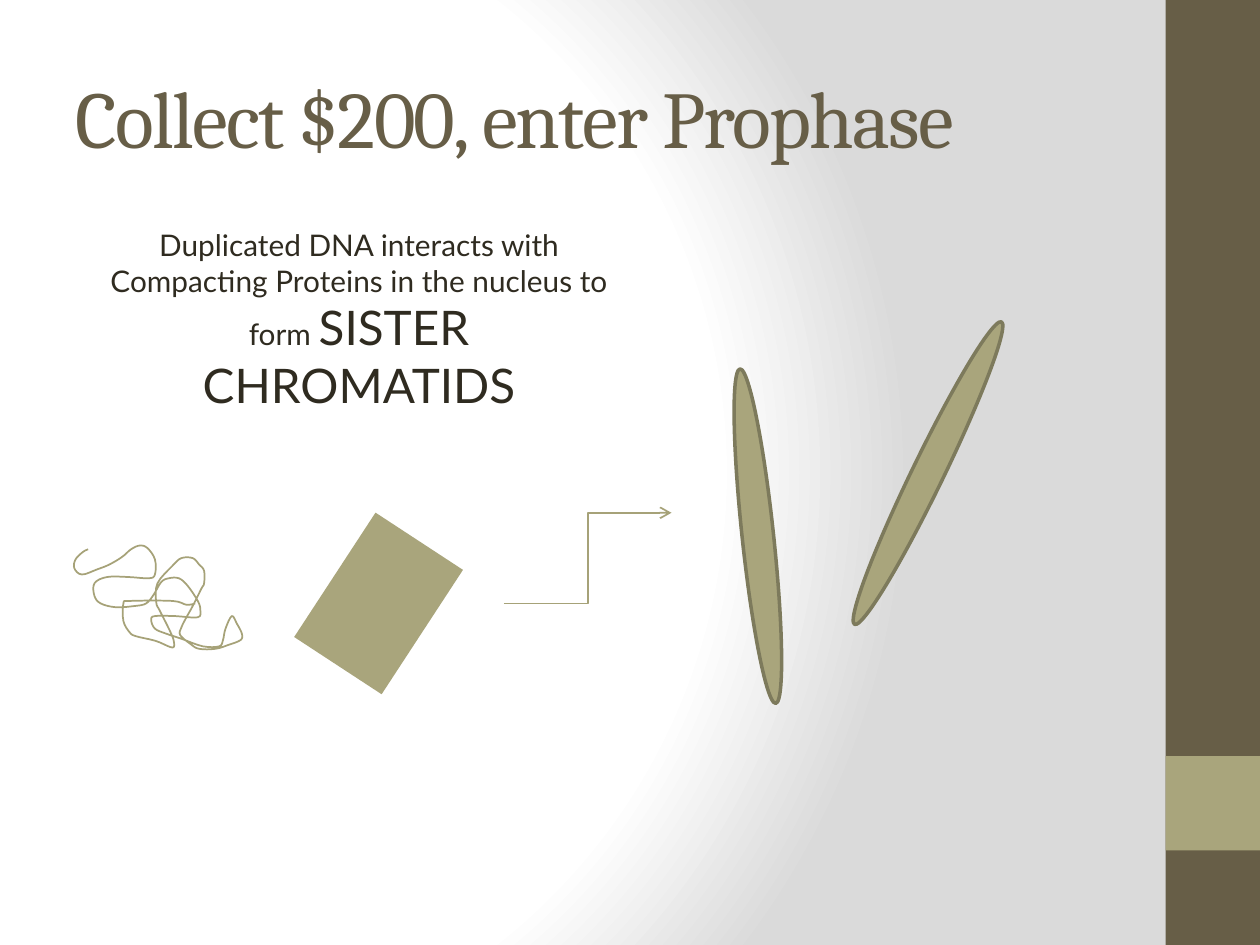
from itertools import chain
from lxml.etree import SubElement, fromstring
from pptx import Presentation
from pptx.dml.color import RGBColor
from pptx.enum.shapes import MSO_CONNECTOR, MSO_SHAPE
from pptx.enum.text import MSO_ANCHOR, MSO_AUTO_SIZE, PP_ALIGN
from pptx.oxml.ns import nsdecls, qn
from pptx.util import Inches, Pt

DNA_STRAND = [
    (0.70, 4.36), (0.66, 4.38), (0.60, 4.44), (0.59, 4.51), (0.65, 4.56), (0.77, 4.52),
    (0.87, 4.48), (0.97, 4.42), (1.04, 4.36), (1.11, 4.33), (1.17, 4.35), (1.23, 4.44),
    (1.23, 4.56), (1.18, 4.59), (1.02, 4.58), (0.85, 4.58), (0.75, 4.63), (0.75, 4.73),
    (0.80, 4.79), (0.92, 4.82), (1.07, 4.81), (1.16, 4.79), (1.22, 4.72), (1.28, 4.62),
    (1.34, 4.59), (1.42, 4.59), (1.49, 4.65), (1.57, 4.77), (1.59, 4.84), (1.57, 4.90),
    (1.39, 4.89), (1.23, 4.89), (1.20, 4.92), (1.23, 4.99), (1.32, 5.03), (1.44, 5.07),
    (1.61, 5.13), (1.74, 5.13), (1.77, 5.08), (1.79, 4.99), (1.84, 4.89), (1.88, 4.95),
    (1.92, 5.03), (1.91, 5.08), (1.81, 5.12), (1.71, 5.15), (1.58, 5.15), (1.51, 5.11),
    (1.43, 5.04), (1.44, 4.98), (1.48, 4.90), (1.53, 4.81), (1.60, 4.67), (1.62, 4.63),
    (1.62, 4.53), (1.58, 4.48), (1.53, 4.43), (1.44, 4.43), (1.37, 4.49), (1.25, 4.63),
    (1.24, 4.78), (1.27, 4.85), (1.35, 5.01), (1.38, 5.09), (1.37, 5.14), (1.27, 5.10),
    (1.21, 5.08), (1.08, 5.05), (1.03, 5.02), (0.98, 4.93), (0.98, 4.79), (1.03, 4.77),
    (1.37, 4.77), (1.48, 4.80), (1.55, 4.79),
]


def color(value):
    """Return the colour for a hex string."""
    return RGBColor.from_string(value)


def curve_through(points, steps=4):
    """Return points of a Catmull-Rom curve through the given points."""
    padded = [points[0], *points, points[-1]]

    def blend(a, b, c, d, t):
        return b + t / 2 * (c - a + t * (2 * a - 5 * b + 4 * c - d + t * (3 * (b - c) + d - a)))

    spans = zip(padded, padded[1:], padded[2:], padded[3:])
    return [points[0]] + list(chain.from_iterable(
        [tuple(blend(*axis, step / steps) for axis in zip(*span)) for step in range(1, steps + 1)]
        for span in spans))


class SlideBuilder:
    """Holds the style and the current slide."""

    dark, olive, strand, edge, ink = "675E47", "A9A57C", "A6A278", "7D7A5C", "2F2B20"
    heading_font, body_font = "Cambria", "Lato"

    def __init__(self, slide):
        """Keep the slide to draw on."""
        self.slide = slide

    def background(self):
        """Fill the background with a radial gradient."""
        stops = "".join(
            f'<a:gs pos="{position}000"><a:srgbClr val="{value}"/></a:gs>'
            for position, value in [(0, "FFFFFF"), (75, "FFFFFF"), (100, "DADADA")])
        self.slide.element.cSld.insert(0, fromstring(
            f'<p:bg {nsdecls("p", "a")}><p:bgPr><a:gradFill rotWithShape="1"><a:gsLst>{stops}</a:gsLst>'
            '<a:path path="circle"><a:fillToRect l="20000" t="50000" r="100000" b="50000"/></a:path>'
            '</a:gradFill><a:effectLst/></p:bgPr></p:bg>'))

    def place(self, placeholder, left, top, width, height, anchor):
        """Move a placeholder and return its text frame."""
        placeholder.left, placeholder.top = Inches(left), Inches(top)
        placeholder.width, placeholder.height = Inches(width), Inches(height)
        frame = placeholder.text_frame
        frame.auto_size = MSO_AUTO_SIZE.NONE
        frame.word_wrap = True
        frame.vertical_anchor = anchor
        return frame

    def style(self, run, size, font, value):
        """Set the font of a run."""
        run.font.size, run.font.name = Pt(size), font
        run.font.color.rgb = color(value)

    def title(self, text):
        """Fill the title placeholder."""
        frame = self.place(self.slide.shapes.title, 0.5, 0.3, 8.33, 1.25, MSO_ANCHOR.MIDDLE)
        frame.text = text
        paragraph = frame.paragraphs[0]
        paragraph.alignment = PP_ALIGN.LEFT
        run = paragraph.runs[0]
        self.style(run, 46, self.heading_font, self.dark)
        run.font._element.set("spc", "-100")

    def body(self, pieces):
        """Fill the body placeholder with one centred paragraph of sized pieces."""
        frame = self.place(self.slide.placeholders[1], 0.5, 1.75, 4.58, 1.17, MSO_ANCHOR.TOP)
        paragraph = frame.paragraphs[0]
        properties = paragraph._p.get_or_add_pPr()
        properties.set("marL", str(Inches(0.12)))
        properties.set("indent", "0")
        SubElement(properties, qn("a:buNone"))
        paragraph.alignment = PP_ALIGN.CENTER
        paragraph.space_before = Pt(0)
        for text, size in pieces:
            run = paragraph.add_run()
            run.text = text
            self.style(run, size, self.body_font, self.ink)

    def shape(self, kind, left, top, width, height, fill, line=None, rotation=0):
        """Add a preset shape."""
        shape = self.slide.shapes.add_shape(
            kind, Inches(left), Inches(top), Inches(width), Inches(height))
        shape.shadow.inherit = False
        shape.rotation = rotation
        shape.fill.solid()
        shape.fill.fore_color.rgb = color(fill)
        if line:
            shape.line.color.rgb = color(line)
            shape.line.width = Pt(2)
        else:
            shape.line.fill.background()

    def thread(self, points):
        """Add an open curved line through the points."""
        first, *rest = [(Inches(x), Inches(y)) for x, y in curve_through(points)]
        builder = self.slide.shapes.build_freeform(*first)
        builder.add_line_segments(rest, close=False)
        shape = builder.convert_to_shape()
        shape.shadow.inherit = False
        shape.fill.background()
        shape.line.color.rgb = color(self.strand)
        shape.line.width = Pt(1)

    def elbow_arrow(self, start, end):
        """Add an elbow connector with an open arrowhead."""
        connector = self.slide.shapes.add_connector(
            MSO_CONNECTOR.ELBOW, *map(Inches, (*start, *end)))
        connector.line.color.rgb = color(self.strand)
        connector.line.width = Pt(1)
        SubElement(connector.line._get_or_add_ln(), qn("a:tailEnd"), type="arrow")
        SubElement(connector._element.spPr, qn("a:effectLst"))


def main():
    """Build the prophase slide and save it."""
    presentation = Presentation()
    presentation.slide_width, presentation.slide_height = Inches(10), Inches(7.5)
    builder = SlideBuilder(presentation.slides.add_slide(presentation.slide_layouts[1]))
    builder.background()
    builder.shape(MSO_SHAPE.RECTANGLE, 9.25, 0, 0.75, 7.5, builder.dark)
    builder.shape(MSO_SHAPE.RECTANGLE, 9.25, 6, 0.75, 0.75, builder.olive)
    builder.title("Collect $200, enter Prophase")
    builder.body([
        ("Duplicated DNA interacts with Compacting Proteins in the nucleus to form ", 17),
        ("SISTER CHROMATIDS", 27.2),
    ])
    builder.shape(MSO_SHAPE.RECTANGLE, 2.59, 4.2, 0.83, 1.18, builder.olive, rotation=33.2)
    builder.thread(DNA_STRAND)
    for left, top, rotation in [(5.89, 2.92, 353.9), (7.24, 2.42, 25.9)]:
        builder.shape(MSO_SHAPE.OVAL, left, top, 0.25, 2.67, builder.olive, builder.edge, rotation)
    builder.elbow_arrow((4, 4.79), (5.33, 4.07))
    presentation.save("out.pptx")


if __name__ == "__main__":
    main()
